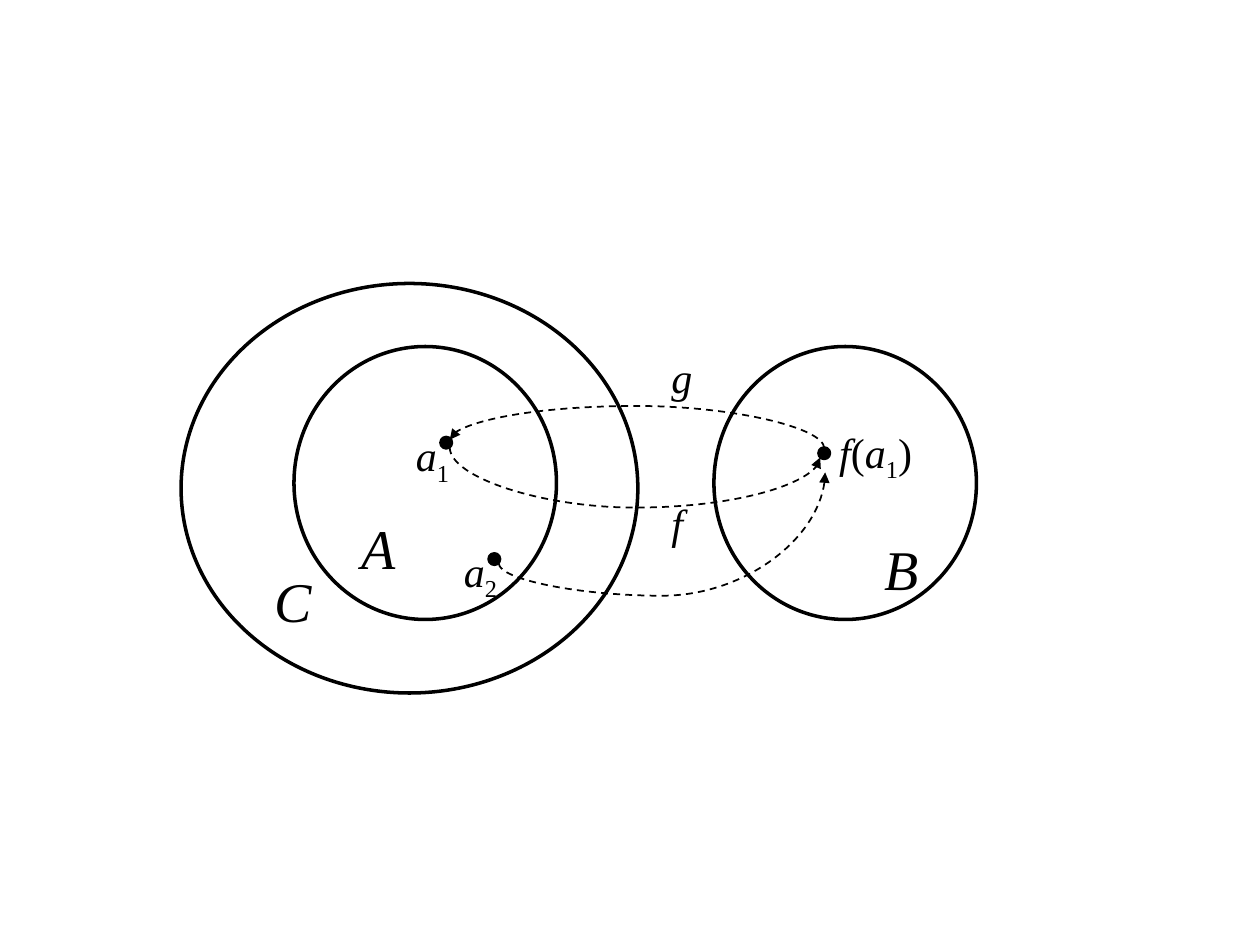
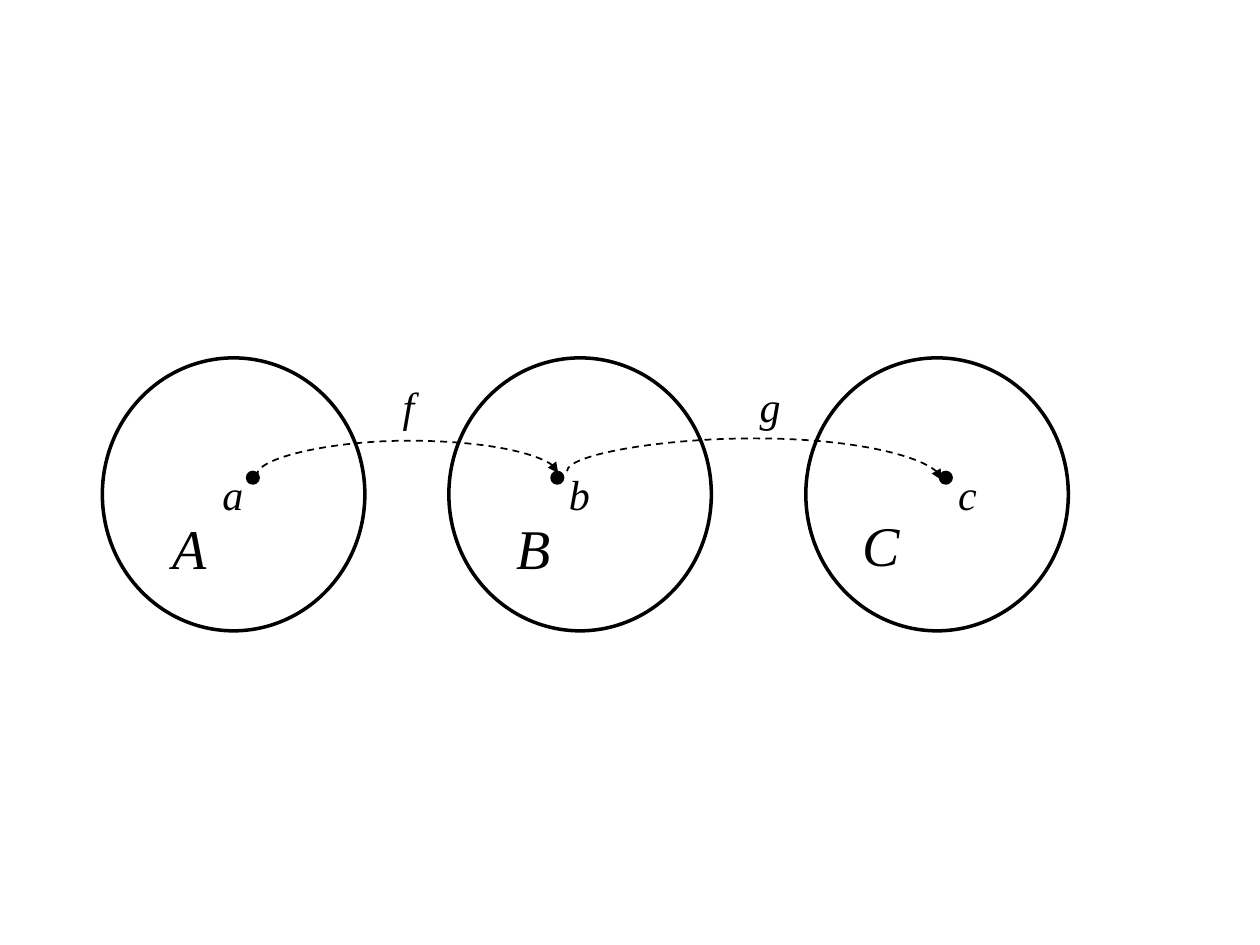
"""Two diagrams of functions between sets, drawn with circles, points and curved arrows."""
from dataclasses import dataclass

import lxml.etree
import pptx
import pptx.dml.color
import pptx.enum.dml
import pptx.enum.shapes
import pptx.enum.text
import pptx.oxml.ns
import pptx.shapes.autoshape
import pptx.slide
import pptx.util

Pt = pptx.util.Pt
qn = pptx.oxml.ns.qn

BLACK = pptx.dml.color.RGBColor(0x00, 0x00, 0x00)
FONT = "Times New Roman"
SET_WIDTH, SET_HEIGHT = 150, 156
DOT_SIZE = 6
OUTLINE = 2
ARROW_WIDTH = 1
SET_NAME_SIZE, LABEL_SIZE = 32, 24
LINE_FACTOR = 1.2
INSET = 3.6
ROW_TOP = 204.5
ROW_DOT = 273


@dataclass(frozen=True)
class SetOval:
    """A set, given by its top left corner and size."""
    left: float
    top: float
    width: float = SET_WIDTH
    height: float = SET_HEIGHT


@dataclass(frozen=True)
class Dot:
    """An element of a set, given by its centre."""
    x: float
    y: float


@dataclass(frozen=True)
class Label:
    """A formula: letters are italic, digits are subscripts."""
    formula: str
    left: float
    top: float
    width: float
    size: int = LABEL_SIZE


@dataclass(frozen=True)
class Mapping:
    """A curved arrow between two points that bends out to the height `bend`."""
    start: tuple[float, float]
    end: tuple[float, float]
    bend: float
    arrowhead: str = "tailEnd"
    turn: int = 270


@dataclass(frozen=True)
class Diagram:
    """All the parts of one slide."""
    sets: list[SetOval]
    dots: list[Dot]
    mappings: list[Mapping]
    labels: list[Label]


def draw_oval(slide: pptx.slide.Slide, left: float, top: float, width: float,
              height: float) -> pptx.shapes.autoshape.Shape:
    """Draw an unfilled black ellipse."""
    oval = slide.shapes.add_shape(pptx.enum.shapes.MSO_SHAPE.OVAL,
                                  Pt(left), Pt(top), Pt(width), Pt(height))
    oval.shadow.inherit = False
    oval.fill.background()
    oval.line.color.rgb = BLACK
    oval.line.width = Pt(OUTLINE)
    return oval


def draw_dot(slide: pptx.slide.Slide, dot: Dot) -> None:
    """Draw a filled point around its centre."""
    point = draw_oval(slide, dot.x - DOT_SIZE / 2, dot.y - DOT_SIZE / 2,
                      DOT_SIZE, DOT_SIZE)
    point.fill.solid()
    point.fill.fore_color.rgb = BLACK


def draw_mapping(slide: pptx.slide.Slide, mapping: Mapping) -> None:
    """Draw a dashed curved connector, turned so that it leaves vertically."""
    (x1, y1), (x2, y2) = mapping.start, mapping.end
    across, down = x2 - x1, y2 - y1
    width, height = abs(down), abs(across)
    left, top = (x1 + x2 - width) / 2, (y1 + y2 - height) / 2
    curve = slide.shapes.add_connector(
        pptx.enum.shapes.MSO_CONNECTOR.CURVE,
        Pt(left), Pt(top), Pt(left + width), Pt(top + height))
    curve.line.color.rgb = BLACK
    curve.line.width = Pt(ARROW_WIDTH)
    curve.line.dash_style = pptx.enum.dml.MSO_LINE.DASH

    properties = curve._element.spPr
    frame = properties.find(qn("a:xfrm"))
    frame.set("rot", str(mapping.turn * 60000))
    upward = mapping.turn == 270
    if (down > 0) == upward:
        frame.set("flipH", "1")
    if (across < 0) == upward:
        frame.set("flipV", "1")

    adjustments = properties.find(qn("a:prstGeom")).get_or_add_avLst()
    share = round((mapping.bend - y1) / down * 100000)
    lxml.etree.SubElement(adjustments, qn("a:gd"), name="adj1", fmla=f"val {share}")
    lxml.etree.SubElement(properties.find(qn("a:ln")), qn(f"a:{mapping.arrowhead}"),
                          type="triangle")
    lxml.etree.SubElement(properties, qn("a:effectLst"))


def draw_label(slide: pptx.slide.Slide, label: Label) -> None:
    """Write a formula, one run for each symbol."""
    height = label.size * LINE_FACTOR + 2 * INSET
    box = slide.shapes.add_textbox(Pt(label.left), Pt(label.top),
                                   Pt(label.width), Pt(height))
    frame = box.text_frame
    frame.word_wrap = False
    frame.auto_size = pptx.enum.text.MSO_AUTO_SIZE.SHAPE_TO_FIT_TEXT
    for symbol in label.formula:
        run = frame.paragraphs[0].add_run()
        run.text = symbol
        run.font.name = FONT
        run.font.size = Pt(label.size)
        run.font.color.rgb = BLACK
        run.font.italic = symbol.isalpha()
        if symbol.isdigit():
            run._r.get_or_add_rPr().set("baseline", "-25000")


def draw_diagram(deck: pptx.presentation.Presentation, diagram: Diagram) -> None:
    """Add a blank slide and draw one diagram on it."""
    slide = deck.slides.add_slide(deck.slide_layouts[6])
    for oval in diagram.sets:
        draw_oval(slide, oval.left, oval.top, oval.width, oval.height)
    for dot in diagram.dots:
        draw_dot(slide, dot)
    for mapping in diagram.mappings:
        draw_mapping(slide, mapping)
    for label in diagram.labels:
        draw_label(slide, label)


LEFT_INVERSE = Diagram(
    sets=[SetOval(168, 198), SetOval(408, 198), SetOval(103.5, 162, 261, 234)],
    dots=[Dot(471, 259), Dot(255, 253), Dot(282.5, 319.5)],
    mappings=[
        Mapping((257, 255.6), (468.7, 261.4), 290),
        Mapping((471, 256.3), (257, 251.3), 232),
        Mapping((285, 322), (471.5, 270), 340.5, turn=90),
    ],
    labels=[
        Label("a1", 230.5, 242, 34.5),
        Label("f(a1)", 472.5, 240, 57.5),
        Label("f", 376.5, 281, 21),
        Label("g", 376.5, 197.5, 26.5),
        Label("A", 199.5, 290, 34.5, SET_NAME_SIZE),
        Label("B", 498.5, 302, 34.5, SET_NAME_SIZE),
        Label("C", 150, 320, 36, SET_NAME_SIZE),
        Label("a2", 258, 308, 34.5),
    ],
)

COMPOSITION = Diagram(
    sets=[SetOval(left, ROW_TOP) for left in (58.5, 256.5, 460.5)],
    dots=[Dot(x, ROW_DOT) for x in (144.5, 318.5, 540.5)],
    mappings=[
        Mapping((319, 270.3), (147, 271.2), 252, "headEnd"),
        Mapping((538, 274.3), (324, 269.3), 250.5, "headEnd"),
    ],
    labels=[
        Label("a", 120, 264, 26.5),
        Label("b", 318, 264, 26.5),
        Label("c", 540.5, 264, 25),
        Label("f", 223, 214, 21),
        Label("g", 427, 214, 26.5),
        Label("A", 91.5, 290, 34.5, SET_NAME_SIZE),
        Label("B", 288, 290, 34.5, SET_NAME_SIZE),
        Label("C", 486, 288, 36, SET_NAME_SIZE),
    ],
)


def main() -> None:
    """Build the deck and save it."""
    deck = pptx.Presentation()
    deck.slide_width, deck.slide_height = Pt(720), Pt(540)
    for diagram in (LEFT_INVERSE, COMPOSITION):
        draw_diagram(deck, diagram)
    deck.save("out.pptx")


main()
